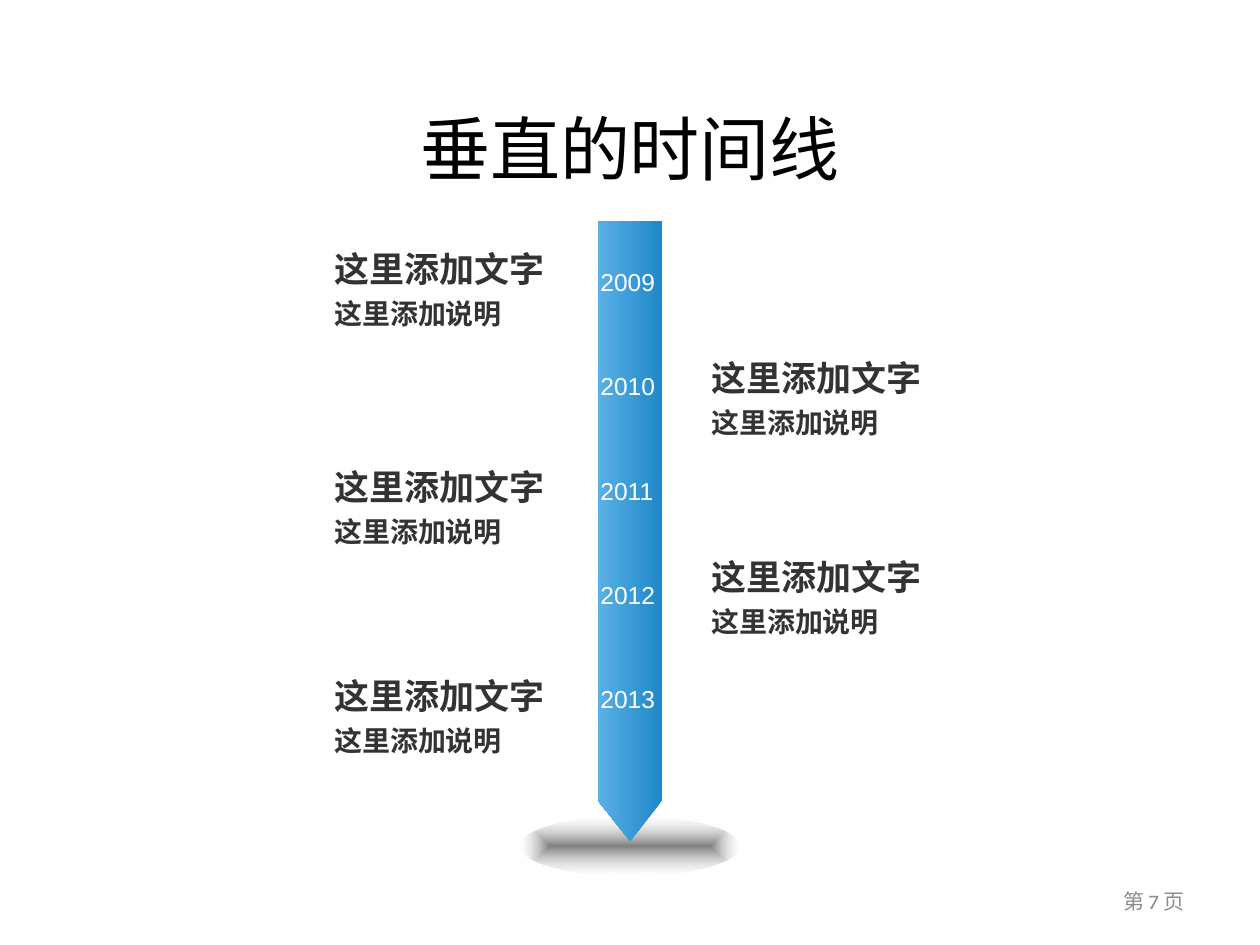
from dataclasses import dataclass

from lxml.etree import SubElement
from pptx import Presentation
from pptx.dml.color import RGBColor
from pptx.enum.shapes import MSO_SHAPE
from pptx.enum.text import MSO_ANCHOR, MSO_AUTO_SIZE, PP_ALIGN
from pptx.oxml.ns import qn
from pptx.util import Pt

PX = 914400 / 126


@dataclass(frozen=True)
class Theme:
    title_font: str = "Karla"
    body_font: str = "Arial"
    title: str = "000000"
    text: str = "333333"
    year: str = "FFFFFF"
    page: str = "8C8C8C"
    arrow: tuple = ("1F88C8", "59B0E5")
    shadow: tuple = ("808080", "DBDBDB")
    title_size: int = 40
    heading_size: int = 20
    detail_size: int = 16
    year_size: int = 14
    page_size: int = 12


THEME = Theme()
YEARS = ["2009", "2010", "2011", "2012", "2013"]
ENTRY_TOPS = [241, 350, 459, 549, 668]
ENTRY_LEFTS = [322, 699]  # alternating sides of the arrow


def emu(*lengths):
    return [round(n * PX) for n in lengths]


def write(sp, text, size, color, font=THEME.body_font, bold=None,
          align=None, anchor=None, wrap=False):
    tf = sp.text_frame
    tf.word_wrap = wrap
    tf.auto_size = MSO_AUTO_SIZE.NONE if wrap else MSO_AUTO_SIZE.SHAPE_TO_FIT_TEXT
    tf.vertical_anchor = anchor
    p = tf.paragraphs[0]
    p.alignment = align
    r = p.add_run()
    r.text = text
    r.font.size, r.font.name, r.font.bold = Pt(size), font, bold
    r.font.color.rgb = RGBColor.from_string(color)


def add_text(s, box, text, size, color, **fmt):
    write(s.shapes.add_textbox(*emu(*box)), text, size, color, **fmt)


def add_gradient_shape(s, kind, box, colors, fade=False):
    """Add a borderless shape; fade gives a gradient from the centre out to clear."""
    sp = s.shapes.add_shape(kind, *emu(*box))
    sp.shadow.inherit = False
    sp.line.fill.background()
    sp.fill.gradient()
    grad = sp.element.spPr.find(qn("a:gradFill"))
    for child in list(grad):
        grad.remove(child)
    grad.set("rotWithShape", "1")
    stops = SubElement(grad, qn("a:gsLst"))
    for pos, color in zip(("0", "100000"), colors):
        stop = SubElement(stops, qn("a:gs"), pos=pos)
        clr = SubElement(stop, qn("a:srgbClr"), val=color)
    if fade:
        SubElement(clr, qn("a:alpha"), val="0")
        route = SubElement(grad, qn("a:path"), {"path": "shape"})
        SubElement(route, qn("a:fillToRect"), l="50000", t="50000", r="50000", b="50000")
    else:
        SubElement(grad, qn("a:lin"), ang="5400000", scaled="1")
    return sp


def add_title(s, box, text):
    sp = s.shapes.title
    sp.left, sp.top, sp.width, sp.height = emu(*box)
    write(sp, text, THEME.title_size, THEME.title, font=THEME.title_font,
          align=PP_ALIGN.CENTER, anchor=MSO_ANCHOR.MIDDLE, wrap=True)


def add_arrow(s, box):
    """Fill the box with a downward arrow that carries the years."""
    x, y, w, h = box
    add_gradient_shape(s, MSO_SHAPE.OVAL, (x - 77, y + h - 24, 218, 59),
                       THEME.shadow, fade=True)
    # The pentagon points right, so it is laid out lengthwise and turned.
    sp = add_gradient_shape(s, MSO_SHAPE.PENTAGON,
                            (x + (w - h) / 2, y + (h - w) / 2, h, w), THEME.arrow)
    sp.adjustments[0] = 0.63
    sp.rotation = 90
    for i, year in enumerate(YEARS):
        add_text(s, (x - 10, y + 40 + 104.25 * i, 84, 42), year,
                 THEME.year_size, THEME.year)


def add_entry(s, x, y):
    add_text(s, (x, y, 238, 54), "这里添加文字", THEME.heading_size, THEME.text, bold=True)
    add_text(s, (x, y + 49, 195, 47), "这里添加说明", THEME.detail_size, THEME.text, bold=True)


def add_page_number(s, box):
    add_text(s, box, "第 7 页", THEME.page_size, THEME.page, font=THEME.title_font,
             align=PP_ALIGN.RIGHT, anchor=MSO_ANCHOR.MIDDLE, wrap=True)


def main():
    prs = Presentation()
    prs.slide_width, prs.slide_height = emu(1260, 945)
    s = prs.slides.add_slide(prs.slide_layouts[5])
    add_title(s, (63, 98, 1134, 98), "垂直的时间线")
    add_arrow(s, (598, 221, 64, 620))
    for i, top in enumerate(ENTRY_TOPS):
        add_entry(s, ENTRY_LEFTS[i % 2], top)
    add_page_number(s, (903, 876, 294, 50))
    prs.save("out.pptx")


if __name__ == "__main__":
    main()
